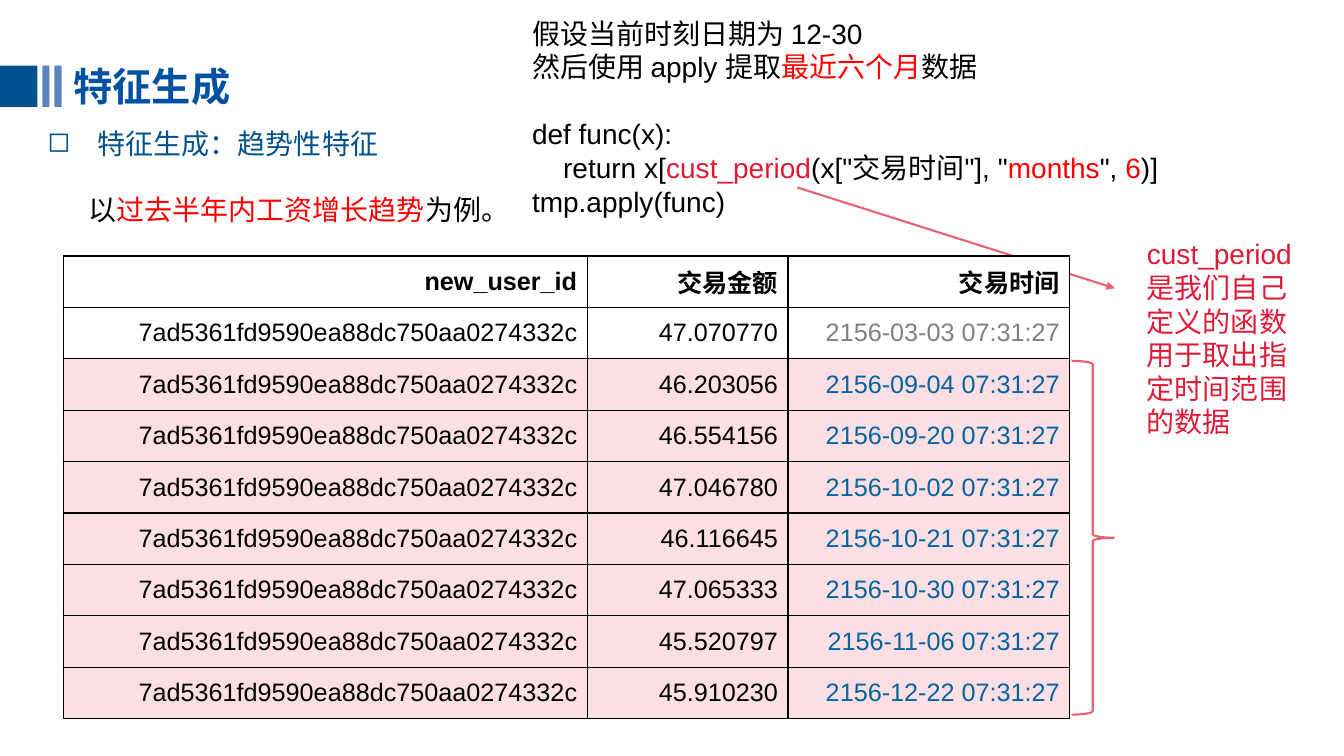
from dataclasses import dataclass

from lxml.etree import SubElement
from pptx import Presentation
from pptx.dml.color import RGBColor
from pptx.enum.shapes import MSO_CONNECTOR as Connector, MSO_SHAPE as Preset
from pptx.enum.text import MSO_ANCHOR as Anchor, MSO_AUTO_SIZE as AutoSize, PP_ALIGN as Align
from pptx.oxml.ns import qn
from pptx.util import Inches, Pt

WIDTH, HEIGHT = Inches(13.333), Inches(7.5)
LATIN, CHINESE = "Arial", "Noto Sans CJK SC"
BLACK, WHITE, RED, CRIMSON = "000000", "FFFFFF", "FF0000", "DE1A37"
NAVY, TITLE_BLUE, BAR_BLUE, DATE_BLUE = "00518E", "0051A1", "5C84C1", "0663A0"
GREY, PINK, CORAL = "808080", "FBDFE3", "EC5F74"


@dataclass(frozen=True)
class Box:
    """A frame in percent of the slide's width and height."""
    left: float
    top: float
    width: float
    height: float

    def lengths(self) -> tuple:
        return across(self.left), down(self.top), across(self.width), down(self.height)


@dataclass(frozen=True)
class Span:
    text: str
    color: str = BLACK
    size: int = 20
    bold: bool = False
    font: str = LATIN


@dataclass(frozen=True)
class Line:
    spans: tuple
    space_before: int = 0


@dataclass(frozen=True)
class TextBlock:
    box: Box
    lines: tuple
    bullet: str = ""


@dataclass(frozen=True)
class Bar:
    left: float
    width: float
    color: str


def across(percent: float) -> int:
    return round(WIDTH * percent / 100)


def down(percent: float) -> int:
    return round(HEIGHT * percent / 100)


def rgb(color: str) -> RGBColor:
    return RGBColor.from_string(color)


def add_span(paragraph, span: Span) -> None:
    run = paragraph.add_run()
    run.text = span.text
    run.font.name, run.font.size, run.font.bold = span.font, Pt(span.size), span.bold
    run.font.color.rgb = rgb(span.color)
    SubElement(run.font._element, qn("a:ea"), typeface=CHINESE)


def add_bullet(paragraph, character: str) -> None:
    properties = paragraph._p.get_or_add_pPr()
    properties.set("marL", str(Inches(0.5)))
    properties.set("indent", str(-Inches(0.5)))
    SubElement(properties, qn("a:buChar"), char=character)
    paragraph.line_spacing = 1.2


def add_text(slide, block: TextBlock) -> None:
    frame = slide.shapes.add_textbox(*block.box.lengths()).text_frame
    frame.word_wrap = True
    for index, line in enumerate(block.lines):
        paragraph = frame.add_paragraph() if index else frame.paragraphs[0]
        if block.bullet:
            add_bullet(paragraph, block.bullet)
        if line.space_before:
            paragraph.space_before = Pt(line.space_before)
        for span in line.spans:
            add_span(paragraph, span)


def set_title(slide, box: Box, span: Span) -> None:
    title = slide.shapes.title
    title.left, title.top, title.width, title.height = box.lengths()
    frame = title.text_frame
    frame.auto_size, frame.vertical_anchor = AutoSize.NONE, Anchor.MIDDLE
    frame.paragraphs[0].alignment = Align.LEFT
    add_span(frame.paragraphs[0], span)


def add_bar(slide, bar: Bar) -> None:
    box = Box(bar.left, 8.67, bar.width, 5.47)
    shape = slide.shapes.add_shape(Preset.RECTANGLE, *box.lengths())
    shape.shadow.inherit = False
    shape.fill.solid()
    shape.fill.fore_color.rgb = rgb(bar.color)
    shape.line.fill.background()


def add_brace(slide, box: Box) -> None:
    brace = slide.shapes.add_shape(Preset.RIGHT_BRACE, *box.lengths())
    brace.shadow.inherit = False
    brace.fill.background()
    brace.line.color.rgb, brace.line.width = rgb(CORAL), Pt(1.5)


def add_arrow(slide, start: tuple, end: tuple) -> None:
    arrow = slide.shapes.add_connector(
        Connector.STRAIGHT, across(start[0]), down(start[1]), across(end[0]), down(end[1]))
    arrow.line.color.rgb, arrow.line.width = rgb(CORAL), Pt(1.5)
    SubElement(arrow.line._get_or_add_ln(), qn("a:tailEnd"), type="triangle")
    SubElement(arrow._element.spPr, qn("a:effectLst"))


def fill_cell(cell, span: Span, background: str) -> None:
    for side in ("lnL", "lnR", "lnT", "lnB"):
        border = SubElement(cell._tc.get_or_add_tcPr(), qn(f"a:{side}"), w=str(Pt(1)))
        SubElement(SubElement(border, qn("a:solidFill")), qn("a:srgbClr"), val=BLACK)
    cell.fill.solid()
    cell.fill.fore_color.rgb = rgb(background)
    cell.vertical_anchor = Anchor.MIDDLE
    paragraph = cell.text_frame.paragraphs[0]
    paragraph.alignment = Align.RIGHT
    add_span(paragraph, span)


def add_transactions(slide) -> None:
    rows, columns = len(TRANSACTIONS) + 1, len(COLUMN_WIDTHS)
    box = Box(4.73, 33.87, sum(COLUMN_WIDTHS), ROW_HEIGHT * rows)
    table = slide.shapes.add_table(rows, columns, *box.lengths()).table
    table.first_row = table.horz_banding = False
    for column, width in zip(table.columns, COLUMN_WIDTHS):
        column.width = across(width)
    for row in table.rows:
        row.height = down(ROW_HEIGHT)
    for index, header in enumerate(HEADERS):
        fill_cell(table.cell(0, index), Span(header, size=18, bold=True), WHITE)
    for row_number, (amount, date) in enumerate(TRANSACTIONS, start=1):
        recent = date >= "2156-06-30"
        values = ((USER_ID, BLACK), (amount, BLACK),
                  (f"{date} 07:31:27", DATE_BLUE if recent else GREY))
        for index, (text, color) in enumerate(values):
            fill_cell(table.cell(row_number, index), Span(text, color, 18),
                      PINK if recent else WHITE)


BARS = (Bar(0, 2.78, NAVY), Bar(3.15, 0.53, BAR_BLUE), Bar(4.05, 0.53, BAR_BLUE))
COLUMN_WIDTHS, ROW_HEIGHT = (38.97, 14.93, 20.97), 6.8
HEADERS = ("new_user_id", "交易金额", "交易时间")
USER_ID = "7ad5361fd9590ea88dc750aa0274332c"
TRANSACTIONS = (
    ("47.070770", "2156-03-03"), ("46.203056", "2156-09-04"),
    ("46.554156", "2156-09-20"), ("47.046780", "2156-10-02"),
    ("46.116645", "2156-10-21"), ("47.065333", "2156-10-30"),
    ("45.520797", "2156-11-06"), ("45.910230", "2156-12-22"),
)
TOPIC = TextBlock(Box(2.78, 15.2, 90.98, 6.27),
                  (Line((Span("特征生成：趋势性特征", NAVY),)),), bullet="◻")
EXAMPLE = TextBlock(Box(5.85, 24.8, 79.58, 5.87), (
    Line((Span("以"), Span("过去半年内工资增长趋势", RED), Span("为例。"))),))
FUNCTION_NOTE = TextBlock(Box(84.6, 30.67, 13.95, 28.27), tuple(
    Line((Span(text, CRIMSON),))
    for text in ("cust_period", "是我们自己定义的函数", "用于取出指定时间范围的数据")))
CODE = TextBlock(Box(38.85, 1.47, 61.13, 28.27), (
    Line((Span("假设当前时刻日期为 12-30"),)),
    Line((Span("然后使用 apply 提取"), Span("最近六个月", RED), Span("数据"))),
    Line((Span("def func(x):"),), space_before=24),
    Line((Span("    return x["), Span("cust_period", CRIMSON), Span('(x["交易时间"], "'),
          Span("months", RED), Span('", '), Span("6", RED), Span(")]"))),
    Line((Span("tmp.apply(func)"),)),
))


def main() -> None:
    presentation = Presentation()
    presentation.slide_width, presentation.slide_height = WIDTH, HEIGHT
    slide = presentation.slides.add_slide(presentation.slide_layouts.get_by_name("Title Only"))
    set_title(slide, Box(4.73, 7.6, 40.95, 7.6),
              Span("特征生成", TITLE_BLUE, 28, True, CHINESE))
    for bar in BARS:
        add_bar(slide, bar)
    add_text(slide, TOPIC)
    add_text(slide, EXAMPLE)
    add_arrow(slide, (59.33, 24.8), (82.95, 38.13))
    add_text(slide, FUNCTION_NOTE)
    add_transactions(slide)
    add_brace(slide, Box(79.73, 47.73, 3.15, 46.8))
    add_text(slide, CODE)
    presentation.save("out.pptx")


if __name__ == "__main__":
    main()
